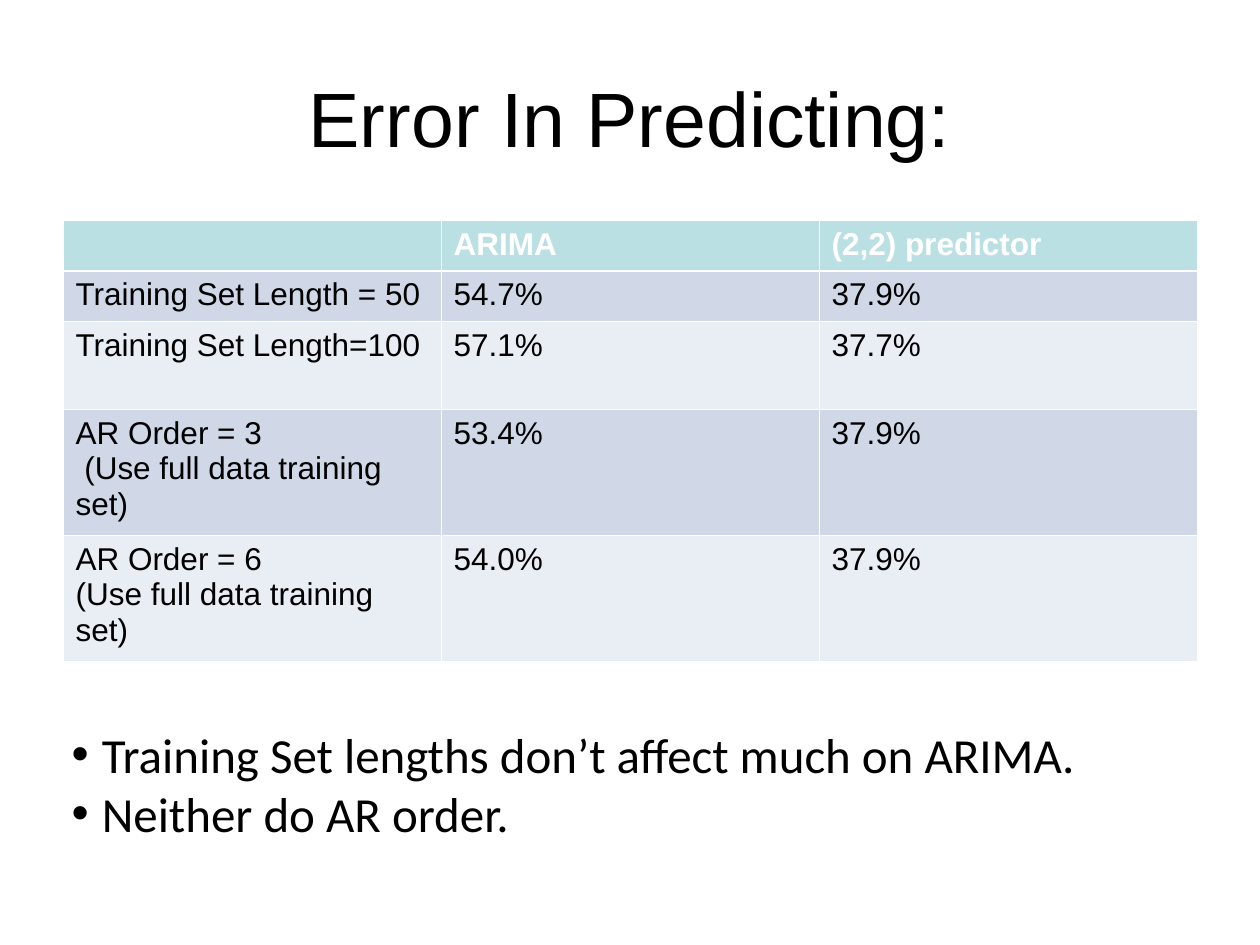
"""Build a slide with a title, an error table and two bullet notes."""
import pptx
import pptx.dml.color
import pptx.enum.text
import pptx.oxml
import pptx.oxml.ns
import pptx.util

RGB = pptx.dml.color.RGBColor
BLACK = RGB(0x00, 0x00, 0x00)
WHITE = RGB(0xFF, 0xFF, 0xFF)
TEAL = RGB(0xBB, 0xE0, 0xE3)
BANDS = [RGB(0xD0, 0xD8, 0xE8), RGB(0xE9, 0xED, 0xF4)]

WIDE, HIGH = pptx.util.Inches(10), pptx.util.Inches(7.5)
COLS, ROWS = 20, 30
THIN, THICK = pptx.util.Pt(0.45), pptx.util.Pt(1.47)

HEAD = ["", "ARIMA", "(2,2) predictor"]
BODY = [
    ["Training Set Length = 50", "54.7%", "37.9%"],
    ["Training Set Length=100", "57.1%", "37.7%"],
    ["AR Order = 3\n (Use full data training set)", "53.4%", "37.9%"],
    ["AR Order = 6\n(Use full data training set)", "54.0%", "37.9%"],
]
PARTS = [4, 4, 7, 10, 10]
NOTES = ["Training Set lengths don’t affect much on ARIMA.", "Neither do AR order."]


def grid(left, top, cols, rows):
    """Turn grid units into a box of slide lengths."""
    unit, step = WIDE / COLS, HIGH / ROWS
    return int(left * unit), int(top * step), int(cols * unit), int(rows * step)


def write(frame, lines, size, face, color, bold=False):
    """Write each line as one paragraph with one run."""
    for index, line in enumerate(lines):
        para = frame.add_paragraph() if index else frame.paragraphs[0]
        run = para.add_run()
        run.text = line
        font = run.font
        font.size, font.name, font.bold = pptx.util.Pt(size), face, bold
        font.color.rgb = color


def edge(cell, widths):
    """Draw white borders on a cell, keyed by side."""
    props = cell._tc.get_or_add_tcPr()
    for index, (side, width) in enumerate(widths.items()):
        props.insert(index, pptx.oxml.parse_xml(
            f'<a:ln{side} {pptx.oxml.ns.nsdecls("a")} w="{int(width)}">'
            f'<a:solidFill><a:srgbClr val="{WHITE}"/></a:solidFill></a:ln{side}>'))


def bullet(para):
    """Give a paragraph a hanging round bullet."""
    props = para._p.get_or_add_pPr()
    hang = int(pptx.util.Inches(0.24))
    props.set("marL", str(hang))
    props.set("indent", str(-hang))
    names = pptx.oxml.ns.nsdecls("a")
    for part in (f'<a:buClr {names}><a:srgbClr val="{BLACK}"/></a:buClr>',
                 f'<a:buFont {names} typeface="Arial"/>',
                 f'<a:buChar {names} char="•"/>'):
        props.append(pptx.oxml.parse_xml(part))


def title(slide, box):
    """Place the centred title in its box."""
    frame = slide.shapes.add_textbox(*box).text_frame
    frame.word_wrap = True
    frame.vertical_anchor = pptx.enum.text.MSO_ANCHOR.MIDDLE
    write(frame, ["Error In Predicting:"], 44, "Arial", BLACK)
    frame.paragraphs[0].alignment = pptx.enum.text.PP_ALIGN.CENTER


def table(slide, box):
    """Place the banded error table in its box."""
    data = [HEAD] + BODY
    sheet = slide.shapes.add_table(len(data), len(HEAD), *box).table
    for col in sheet.columns:
        col.width = box[2] // len(HEAD)
    for row, part in zip(sheet.rows, PARTS):
        row.height = box[3] * part // sum(PARTS)
    for down, texts in enumerate(data):
        for across, text in enumerate(texts):
            cell = sheet.cell(down, across)
            cell.fill.solid()
            cell.fill.fore_color.rgb = BANDS[(down - 1) % 2] if down else TEAL
            edge(cell, {"L": THIN, "R": THIN,
                        "T": THICK if down == 1 else THIN,
                        "B": THICK if down == 0 else THIN})
            if text:
                write(cell.text_frame, text.split("\n"), 18, "Arial",
                      BLACK if down else WHITE, down == 0)


def notes(slide, box):
    """Place the bullet notes in the lower part of their box."""
    frame = slide.shapes.add_textbox(*box).text_frame
    frame.word_wrap = True
    frame.margin_top = pptx.util.Inches(0.36)
    write(frame, NOTES, 28, "Calibri", BLACK)
    for para in frame.paragraphs:
        bullet(para)


def main():
    """Build and save the slide."""
    deck = pptx.Presentation()
    deck.slide_width, deck.slide_height = WIDE, HIGH
    slide = deck.slides.add_slide(deck.slide_layouts[6])
    title(slide, grid(1, 1.2, 18, 5))
    table(slide, grid(1, 7, 18, 14))
    notes(slide, grid(0.94, 21.56, 18.28, 8.44))
    deck.save("out.pptx")


if __name__ == "__main__":
    main()
